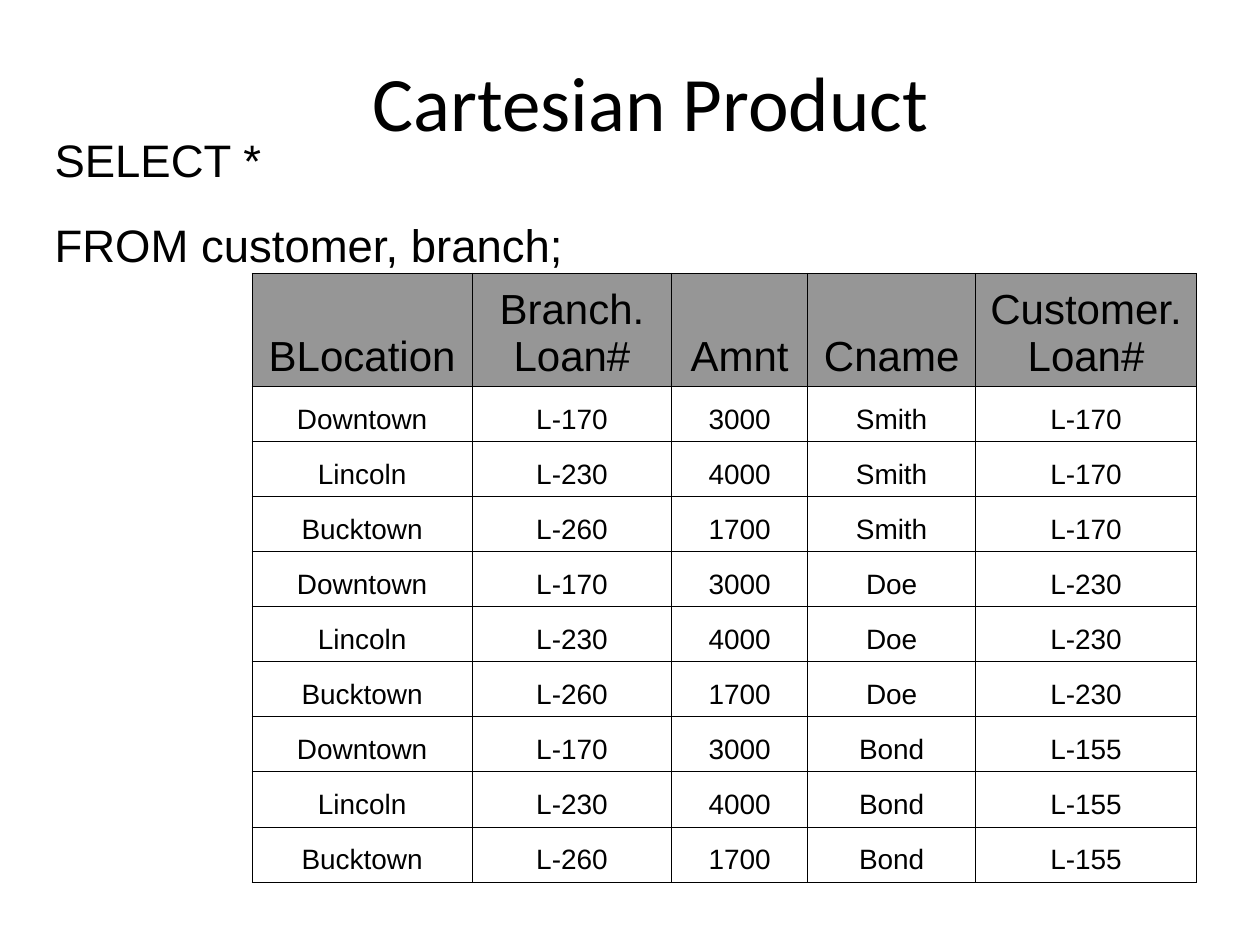
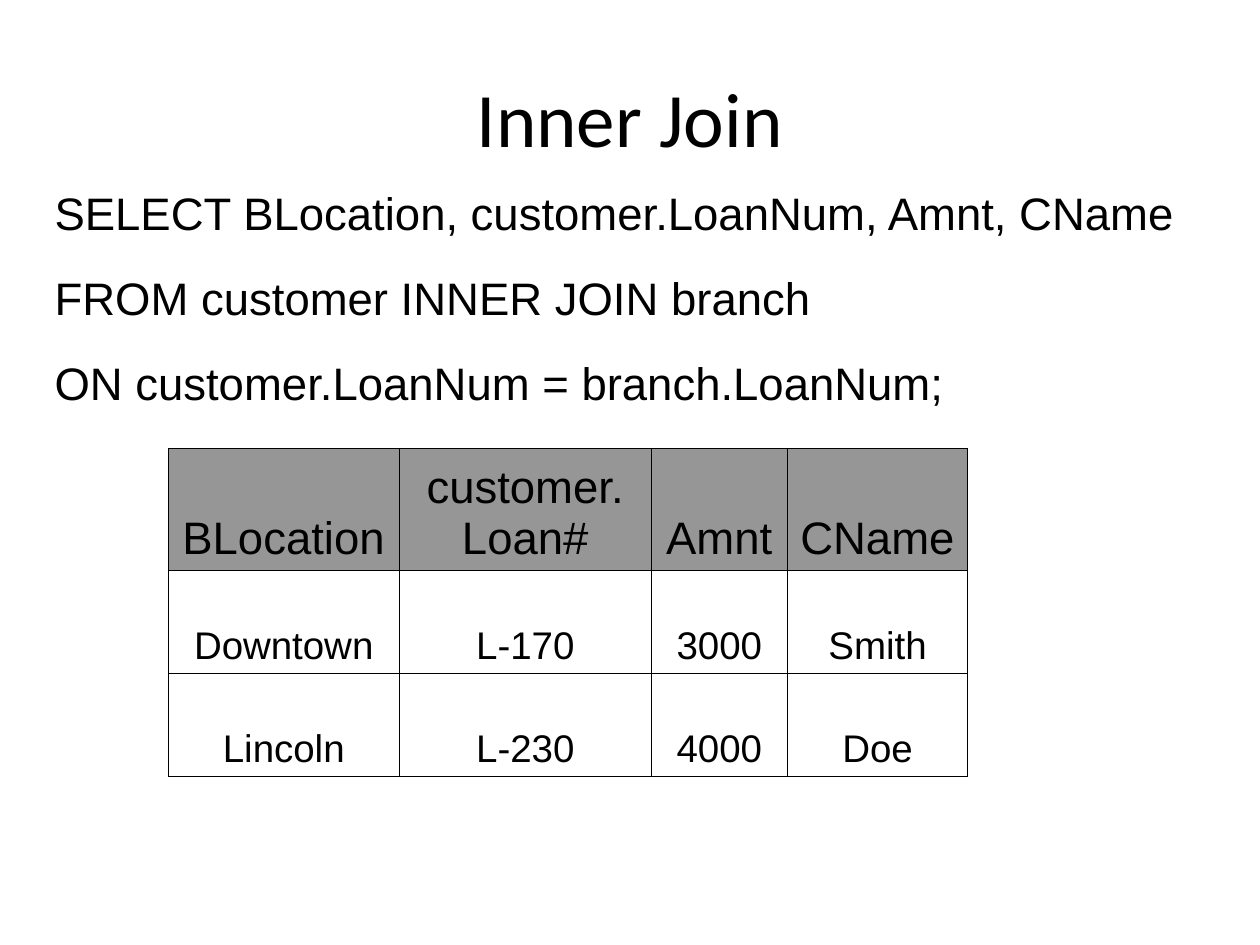
from itertools import product

from lxml.etree import SubElement
from pptx import Presentation
from pptx.dml.color import RGBColor
from pptx.enum.text import MSO_ANCHOR as ANCHOR, MSO_AUTO_SIZE as AUTOSIZE, PP_ALIGN as ALIGN
from pptx.oxml.ns import qn
from pptx.util import Cm, Pt

BLACK = RGBColor(0x00, 0x00, 0x00)
GRAY = RGBColor(0x96, 0x96, 0x96)
HEAD_FONT = "Calibri"
BODY_FONT = "Arial"
BORDER = Pt(0.45)


def add_lines(tf, lines, size, font=BODY_FONT, align=ALIGN.LEFT, before=0):
    for i, line in enumerate(lines):
        p = tf.paragraphs[0] if i == 0 else tf.add_paragraph()
        p.alignment = align
        p.space_before = Pt(before)
        r = p.add_run()
        r.text = line
        r.font.name = font
        r.font.size = Pt(size)
        r.font.color.rgb = BLACK


def add_grid(s, left, top, widths, heights, rows, sizes):
    shape = s.shapes.add_table(len(rows), len(widths), Cm(left), Cm(top),
                               Cm(sum(widths)), Cm(sum(heights)))
    table = shape.table
    table.first_row = table.horz_banding = False
    for column, width in zip(table.columns, widths):
        column.width = Cm(width)
    for row, height in zip(table.rows, heights):
        row.height = Cm(height)
    for i, j in product(range(len(rows)), range(len(widths))):
        cell = table.cell(i, j)
        cell.vertical_anchor = ANCHOR.BOTTOM
        add_lines(cell.text_frame, rows[i][j].split("\n"), sizes[min(i, 1)], align=ALIGN.CENTER)
        tc_pr = cell._tc.get_or_add_tcPr()
        for side in ("a:lnL", "a:lnR", "a:lnT", "a:lnB"):
            ln = SubElement(tc_pr, qn(side), w=str(BORDER))
            fill = SubElement(ln, qn("a:solidFill"))
            SubElement(fill, qn("a:srgbClr"), val=str(BLACK))
        if i == 0:
            cell.fill.solid()
            cell.fill.fore_color.rgb = GRAY
        else:
            cell.fill.background()


prs = Presentation()
prs.slide_width = Cm(25.4)
prs.slide_height = Cm(19.05)

branches = [("Downtown", "L-170", "3000"), ("Lincoln", "L-230", "4000"), ("Bucktown", "L-260", "1700")]
customers = [("Smith", "L-170"), ("Doe", "L-230"), ("Bond", "L-155")]

cartesian_rows = [("BLocation", "Branch.\nLoan#", "Amnt", "Cname", "Customer.\nLoan#")]
cartesian_rows += [branch + customer for customer, branch in product(customers, branches)]

join_rows = [("BLocation", "customer.\nLoan#", "Amnt", "CName")]
join_rows += [branch + (name,) for branch, (name, loan) in product(branches, customers)
              if branch[1] == loan]

slides = [
    ("Cartesian Product", (1.69, 0.43),
     ["SELECT *", "FROM customer, branch;"], (2.54, 11.23, 3.02),
     (5.08, 5.51, [4.44, 4.02, 2.74, 3.39, 4.45], [2.28] + [1.11] * 9, cartesian_rows, (24, 16))),
    ("Inner Join", (1.27, 0.76),
     ["SELECT BLocation, customer.LoanNum, Amnt, CName",
      "FROM customer INNER JOIN branch",
      "ON customer.LoanNum = branch.LoanNum;"], (3.6, 23.93, 4.7),
     (3.39, 9.04, [4.66, 5.08, 2.74, 3.64], [2.46] + [2.08] * 2, join_rows, (26, 22))),
]

for title, (left, top), query, (query_top, query_width, query_height), grid in slides:
    s = prs.slides.add_slide(prs.slide_layouts[5])
    sp = s.shapes.title
    sp.left, sp.top, sp.width, sp.height = Cm(left), Cm(top), Cm(22.86), Cm(3.18)
    sp.text_frame.vertical_anchor = ANCHOR.MIDDLE
    add_lines(sp.text_frame, [title], 44, HEAD_FONT, ALIGN.CENTER)

    add_grid(s, *grid)

    sp = s.shapes.add_textbox(Cm(0.85), Cm(query_top), Cm(query_width), Cm(query_height))
    tf = sp.text_frame
    tf.word_wrap = True
    tf.auto_size = AUTOSIZE.SHAPE_TO_FIT_TEXT
    add_lines(tf, query, 26, before=17.5)

prs.save("out.pptx")
